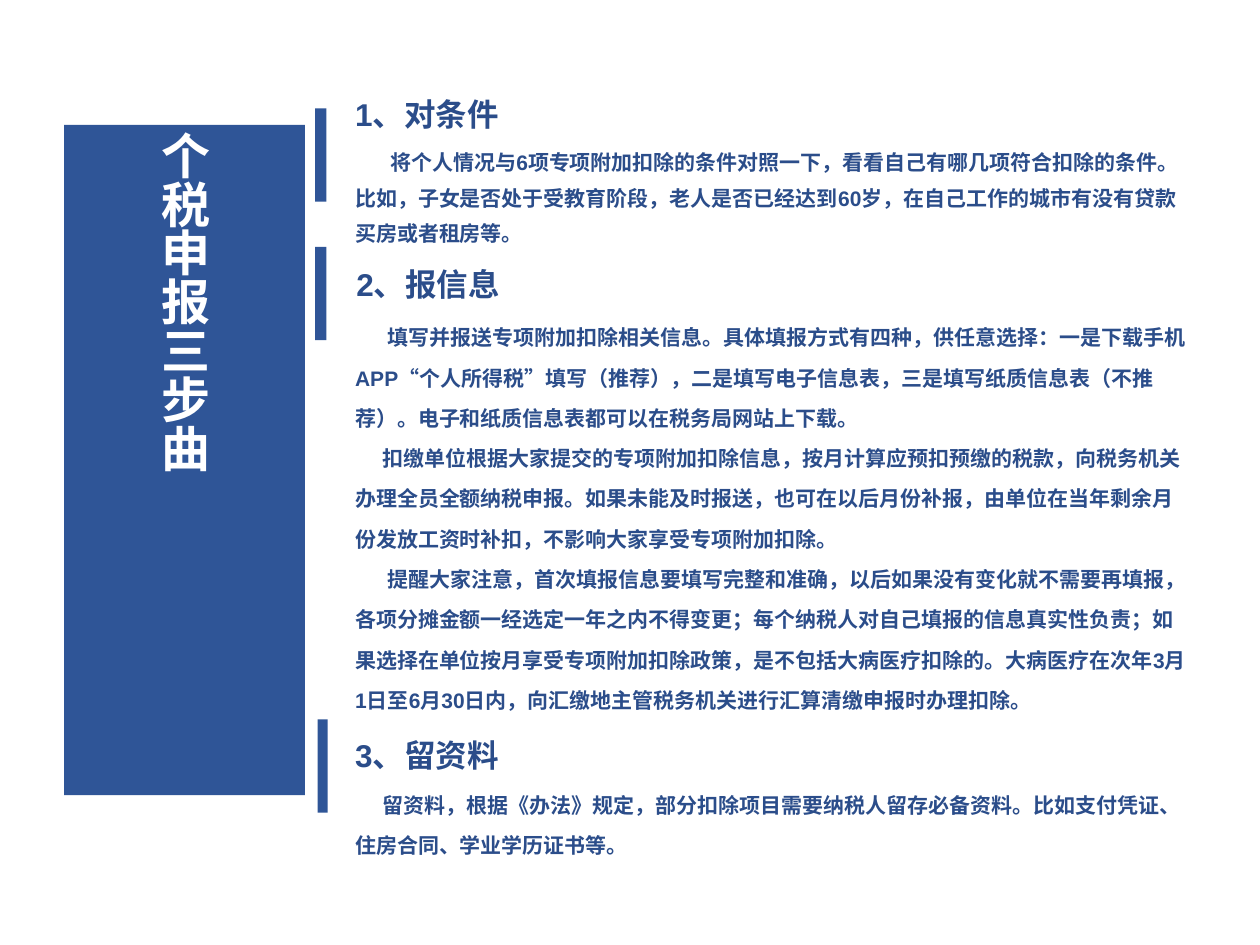
from dataclasses import dataclass

import pptx
import pptx.dml.color
import pptx.enum.shapes
import pptx.enum.text
import pptx.oxml.ns
import pptx.util
from lxml import etree

Inches = pptx.util.Inches
PANEL = "2F5597"
INK = "2B4D8A"
WHITE = "FFFFFF"
LATIN = "Arial"
HAN = "Noto Sans CJK SC"
TOP = pptx.enum.text.MSO_ANCHOR.TOP
MIDDLE = pptx.enum.text.MSO_ANCHOR.MIDDLE
BOTTOM = pptx.enum.text.MSO_ANCHOR.BOTTOM


@dataclass
class Box:
    x: float
    y: float
    w: float
    h: float


@dataclass
class Para:
    text: str
    indent: float


@dataclass
class Step:
    bar: Box
    heading: str
    heading_box: Box
    body_box: Box
    spacing: float
    paras: list[Para]


STEPS = [
    Step(Box(2.5, 0.86, 0.09, 0.74), "1、对条件", Box(2.72, 0.5, 2.8, 0.6),
         Box(2.72, 1.06, 6.85, 1.06), 1.4, [
        Para("将个人情况与6项专项附加扣除的条件对照一下，看看自己有哪几项符合扣除的条件。"
             "比如，子女是否处于受教育阶段，老人是否已经达到60岁，在自己工作的城市有没有贷款"
             "买房或者租房等。", 0.28),
    ]),
    Step(Box(2.5, 1.96, 0.09, 0.74), "2、报信息", Box(2.73, 1.94, 2.65, 0.51),
         Box(2.72, 2.41, 6.85, 3.46), 1.6, [
        Para("填写并报送专项附加扣除相关信息。具体填报方式有四种，供任意选择：一是下载手机"
             "APP“个人所得税”填写（推荐），二是填写电子信息表，三是填写纸质信息表（不推"
             "荐）。电子和纸质信息表都可以在税务局网站上下载。", 0.26),
        Para("扣缴单位根据大家提交的专项附加扣除信息，按月计算应预扣预缴的税款，向税务机关"
             "办理全员全额纳税申报。如果未能及时报送，也可在以后月份补报，由单位在当年剩余月"
             "份发放工资时补扣，不影响大家享受专项附加扣除。", 0.22),
        Para("提醒大家注意，首次填报信息要填写完整和准确，以后如果没有变化就不需要再填报，"
             "各项分摊金额一经选定一年之内不得变更；每个纳税人对自己填报的信息真实性负责；如"
             "果选择在单位按月享受专项附加扣除政策，是不包括大病医疗扣除的。大病医疗在次年3"
             "月1日至6月30日内，向汇缴地主管税务机关进行汇算清缴申报时办理扣除。", 0.26),
    ]),
    Step(Box(2.52, 5.71, 0.08, 0.74), "3、留资料", Box(2.72, 5.71, 2.8, 0.48),
         Box(2.72, 6.12, 6.69, 0.79), 1.6, [
        Para("留资料，根据《办法》规定，部分扣除项目需要纳税人留存必备资料。比如支付凭"
             "证、住房合同、学业学历证书等。", 0.22),
    ]),
]


def rgb(value: str) -> pptx.dml.color.RGBColor:
    return pptx.dml.color.RGBColor.from_string(value)


def lengths(box: Box) -> list[int]:
    return [Inches(v) for v in (box.x, box.y, box.w, box.h)]


def paint(sp, color: str) -> None:
    sp.fill.solid()
    sp.fill.fore_color.rgb = rgb(color)
    sp.line.fill.background()


def add_run(p, text: str, size: float, color: str, latin: str = LATIN) -> None:
    r = p.add_run()
    r.text = text
    r.font.size = pptx.util.Pt(size)
    r.font.bold = True
    r.font.color.rgb = rgb(color)
    r.font.name = latin
    rPr = r._r.get_or_add_rPr()
    rPr.set("lang", "zh-CN")
    etree.SubElement(rPr, pptx.oxml.ns.qn("a:ea"), typeface=HAN)


def add_text(s, box: Box, paras: list[Para], size: float, spacing: float, anchor) -> None:
    tf = s.shapes.add_textbox(*lengths(box)).text_frame
    tf.word_wrap = True
    tf.vertical_anchor = anchor
    for i, para in enumerate(paras):
        p = tf.add_paragraph() if i else tf.paragraphs[0]
        p.line_spacing = spacing
        p._p.get_or_add_pPr().set("indent", str(Inches(para.indent)))
        add_run(p, para.text, size, INK)


def add_title(s, box: Box, text: str) -> None:
    sp = s.shapes.title
    sp.left, sp.top, sp.width, sp.height = lengths(box)
    paint(sp, PANEL)
    tf = sp.text_frame
    tf.word_wrap = True
    tf.auto_size = pptx.enum.text.MSO_AUTO_SIZE.NONE
    tf.vertical_anchor = MIDDLE
    tf._txBody.bodyPr.set("vert", "eaVert")
    p = tf.paragraphs[0]
    p.alignment = pptx.enum.text.PP_ALIGN.LEFT
    add_run(p, text, 28, WHITE, HAN)


def add_step(s, step: Step) -> None:
    sp = s.shapes.add_shape(pptx.enum.shapes.MSO_SHAPE.RECTANGLE, *lengths(step.bar))
    sp.shadow.inherit = False
    paint(sp, PANEL)
    add_text(s, step.heading_box, [Para(step.heading, 0)], 18, 1.0, BOTTOM)
    add_text(s, step.body_box, step.paras, 12, step.spacing, TOP)


def main() -> None:
    prs = pptx.Presentation()
    prs.slide_width, prs.slide_height = Inches(10), Inches(7.5)
    s = prs.slides.add_slide(prs.slide_layouts[5])
    add_title(s, Box(0.51, 0.99, 1.91, 5.32), "个税申报三步曲")
    for step in STEPS:
        add_step(s, step)
    prs.save("out.pptx")


if __name__ == "__main__":
    main()
